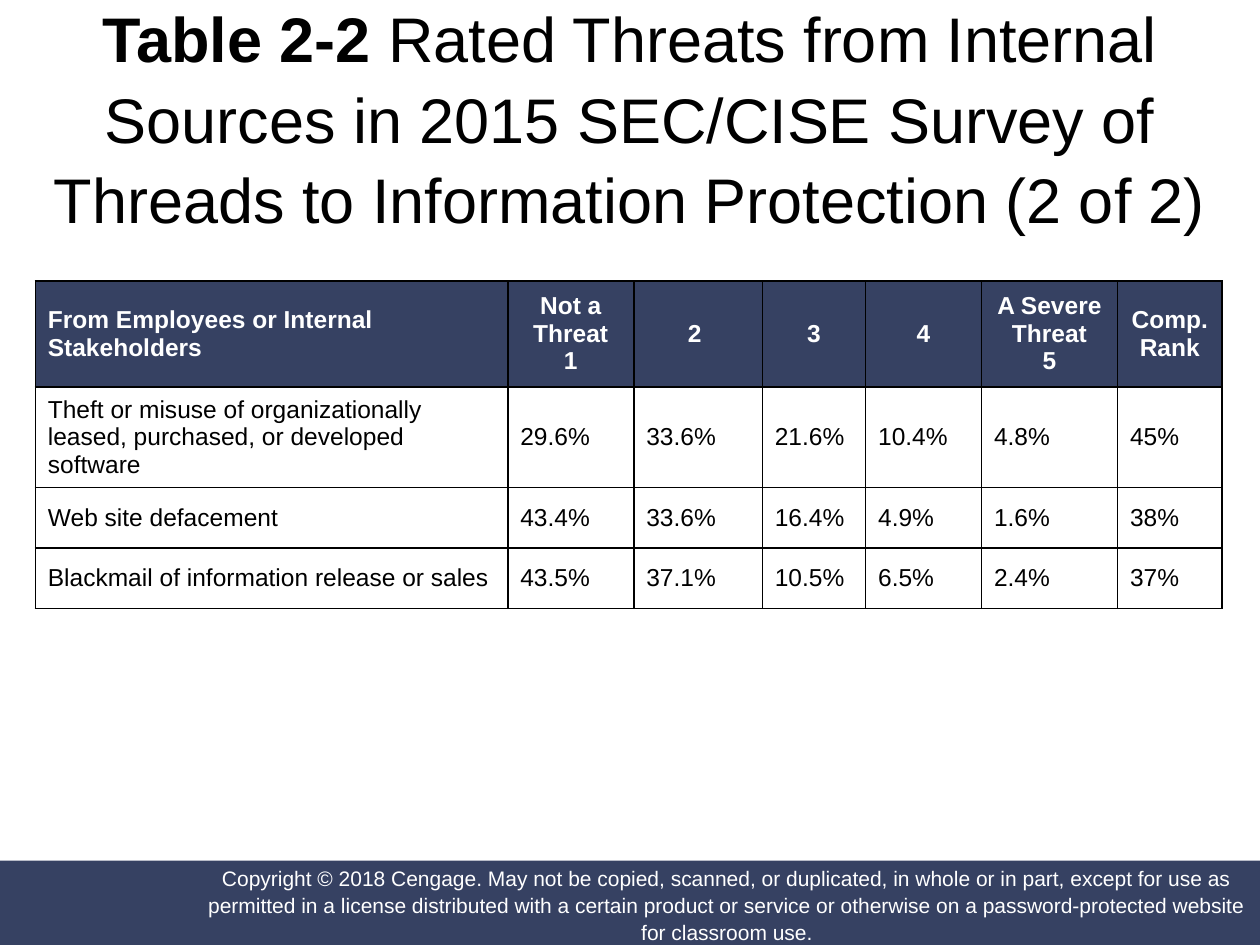
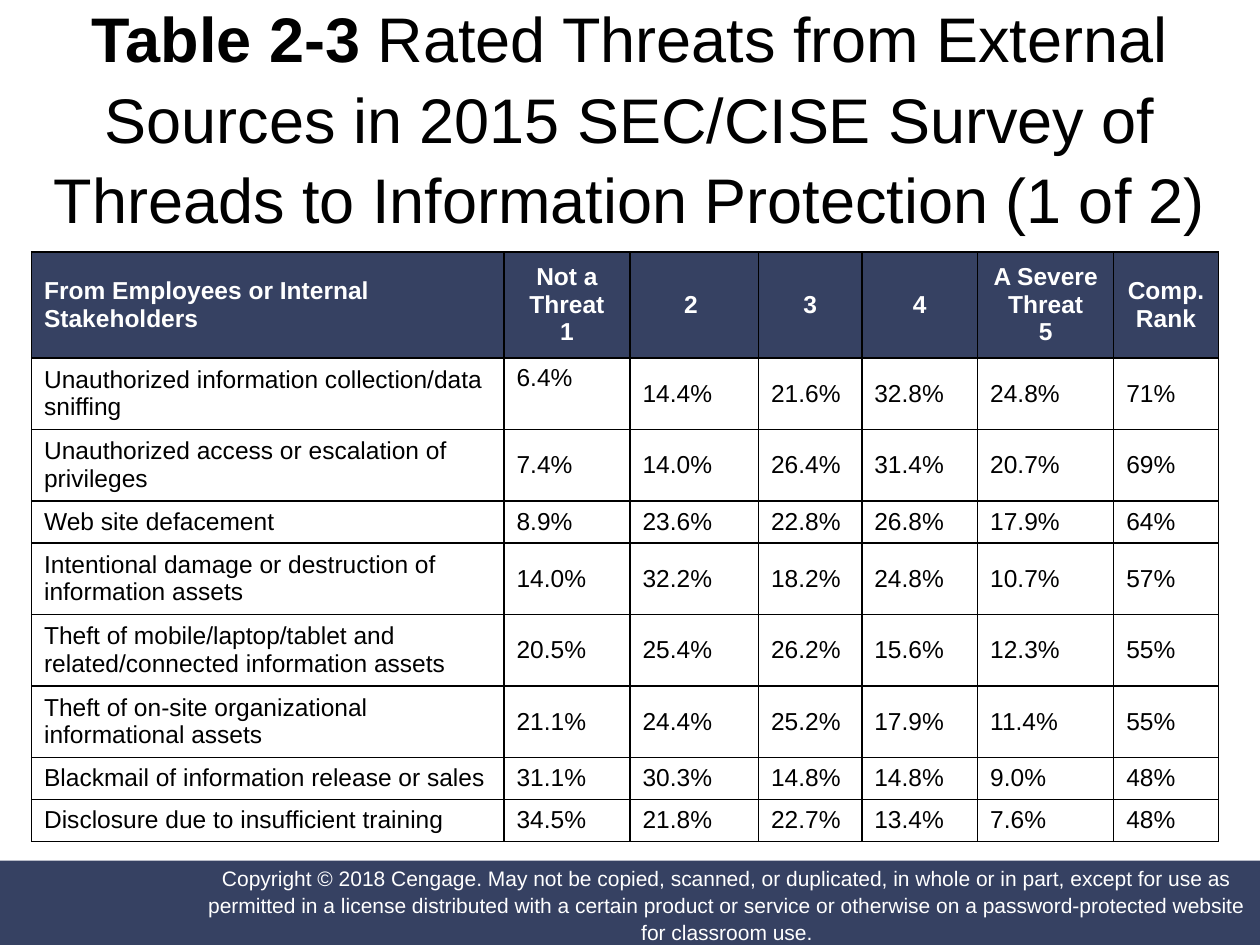
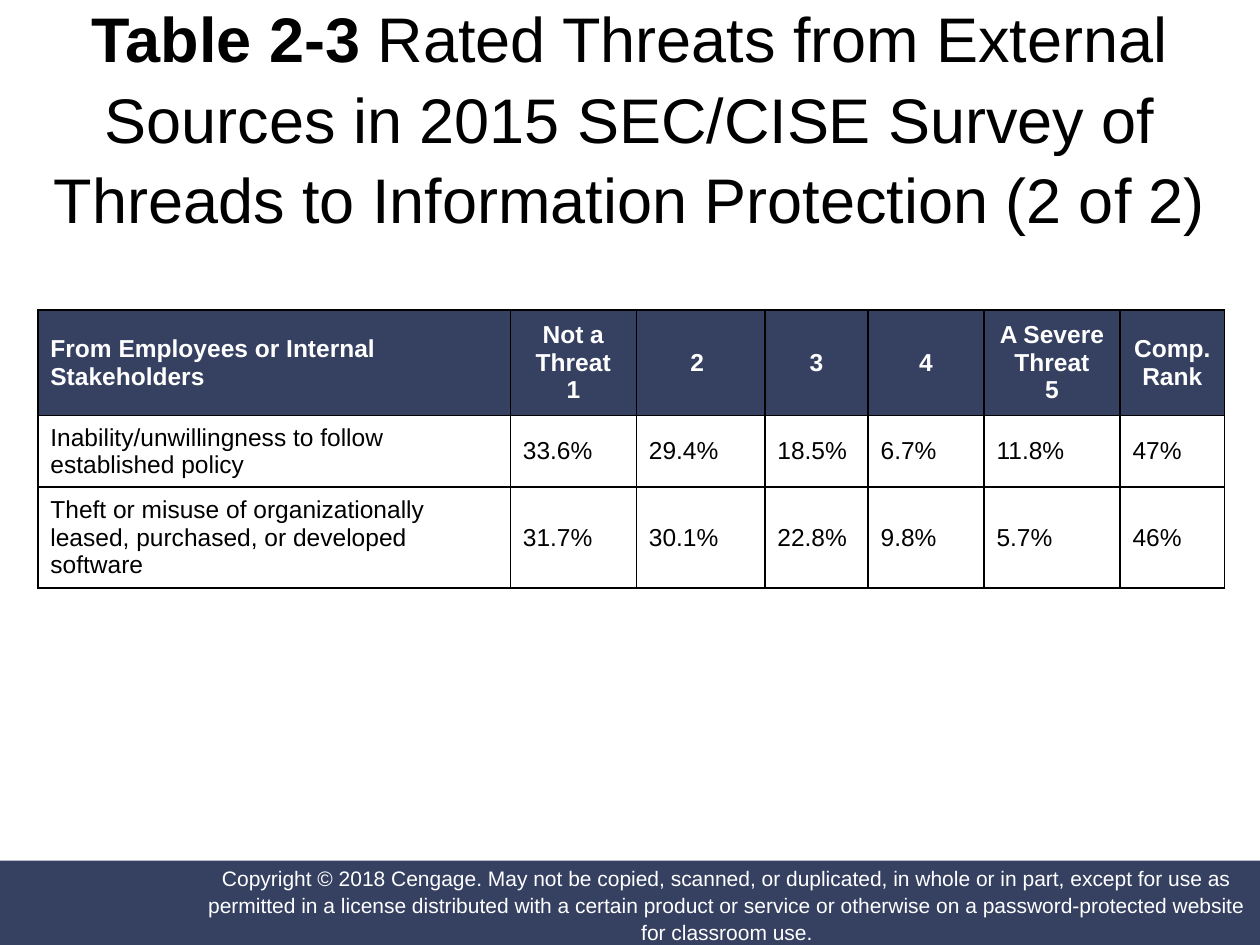
import pptx
import pptx.util
import pptx.dml.color
import pptx.enum.shapes
import pptx.enum.text
import pptx.oxml

Inches = pptx.util.Inches
Pt = pptx.util.Pt
PP_ALIGN = pptx.enum.text.PP_ALIGN
MSO_ANCHOR = pptx.enum.text.MSO_ANCHOR

NAVY = pptx.dml.color.RGBColor(0x36, 0x41, 0x62)
WHITE = pptx.dml.color.RGBColor(0xFF, 0xFF, 0xFF)
BLACK = pptx.dml.color.RGBColor(0x00, 0x00, 0x00)

COPYRIGHT = (
    "Copyright © 2018 Cengage. May not be copied, scanned, or duplicated, in whole "
    "or in part, except for use as permitted in a license distributed with a certain "
    "product or service or otherwise on a password-protected website for classroom use."
)
HEADER = ["From Employees or Internal Stakeholders", "Not a Threat\n1", "2 ", "3", "4",
          "A Severe Threat\n5", "Comp.\vRank"]
COLUMNS = [3.75, 1, 1.02, 0.82, 0.92, 1.08, 0.83]
HEADER_HEIGHT = 0.84
ONE_LINE, TWO_LINES, THREE_LINES = 0.32, 0.54, 0.75
TALL_LINE = 0.48

INTERNAL_2 = [
    (THREE_LINES, "Theft or misuse of organizationally leased, purchased, or developed software",
     "29.6% 33.6% 21.6% 10.4% 4.8% 45%"),
    (TALL_LINE, "Web site defacement", "43.4% 33.6% 16.4% 4.9% 1.6% 38%"),
    (TALL_LINE, "Blackmail of information release or sales", "43.5% 37.1% 10.5% 6.5% 2.4% 37%"),
]
EXTERNAL_1 = [
    (TWO_LINES, "Unauthorized information collection/data sniffing",
     "6.4% 14.4% 21.6% 32.8% 24.8% 71%"),
    (TWO_LINES, "Unauthorized access or escalation of privileges",
     "7.4% 14.0% 26.4% 31.4% 20.7% 69%"),
    (ONE_LINE, "Web site defacement", "8.9% 23.6% 22.8% 26.8% 17.9% 64%"),
    (TWO_LINES, "Intentional damage or destruction of information assets",
     "14.0% 32.2% 18.2% 24.8% 10.7% 57%"),
    (TWO_LINES, "Theft of mobile/laptop/tablet and related/connected information assets",
     "20.5% 25.4% 26.2% 15.6% 12.3% 55%"),
    (TWO_LINES, "Theft of on-site organizational informational assets",
     "21.1% 24.4% 25.2% 17.9% 11.4% 55%"),
    (ONE_LINE, "Blackmail of information release or sales",
     "31.1% 30.3% 14.8% 14.8% 9.0% 48%"),
    (ONE_LINE, "Disclosure due to insufficient training",
     "34.5% 21.8% 22.7% 13.4% 7.6% 48%"),
]
EXTERNAL_2 = [
    (TWO_LINES, "Inability/unwillingness to follow established policy",
     "33.6% 29.4% 18.5% 6.7% 11.8% 47%"),
    (THREE_LINES, "Theft or misuse of organizationally leased, purchased, or developed software",
     "31.7% 30.1% 22.8% 9.8% 5.7% 46%"),
]


def write(tf, text, size=14, color=BLACK, bold=False, align=PP_ALIGN.LEFT, spacing=None):
    """Fill a text frame with text in one format and return its last paragraph."""
    tf.word_wrap = True
    tf.text = text
    for p in tf.paragraphs:
        p.alignment = align
        p.line_spacing = spacing
        for r in p.runs:
            r.font.name = "Arial"
            r.font.size = Pt(size)
            r.font.bold = bold
            r.font.color.rgb = color
    return p


def border(cell, width=1):
    """Draw a black line on each side of a table cell."""
    tcPr = cell._tc.get_or_add_tcPr()
    for i, side in enumerate(("lnL", "lnR", "lnT", "lnB")):
        tcPr.insert(i, pptx.oxml.parse_xml(
            f'<a:{side} xmlns:a="http://schemas.openxmlformats.org/drawingml/2006/main" '
            f'w="{Pt(width)}"><a:solidFill><a:srgbClr val="{BLACK}"/></a:solidFill></a:{side}>'))


class Deck:
    """Hold the presentation, its shared style and the current slide."""

    def __init__(self):
        self.prs = pptx.Presentation()
        self.prs.slide_width, self.prs.slide_height = Inches(10), Inches(7.5)

    def slide(self):
        """Start a blank slide with the footer band."""
        self.s = self.prs.slides.add_slide(self.prs.slide_layouts[6])
        self.band(-0.01, 6.83, 10.01, 0.68)
        tf = self.band(1.62, 6.86, 8.3, 0.64).text_frame
        tf.margin_left = tf.margin_right = tf.margin_top = tf.margin_bottom = 0
        tf.vertical_anchor = MSO_ANCHOR.MIDDLE
        write(tf, COPYRIGHT, size=12, color=WHITE, align=PP_ALIGN.CENTER, spacing=1.07)

    def band(self, x, y, w, h):
        """Add a plain navy rectangle."""
        sp = self.s.shapes.add_shape(pptx.enum.shapes.MSO_SHAPE.RECTANGLE,
                                     Inches(x), Inches(y), Inches(w), Inches(h))
        sp.shadow.inherit = False
        sp.fill.solid()
        sp.fill.fore_color.rgb = NAVY
        sp.line.fill.background()
        return sp

    def title(self, number, text):
        """Add the title with a bold table number."""
        tf = self.s.shapes.add_textbox(Inches(0), Inches(0.08), Inches(10), Inches(1.67)).text_frame
        tf.vertical_anchor = MSO_ANCHOR.MIDDLE
        p = write(tf, f"{number} ", size=36, bold=True, align=PP_ALIGN.CENTER, spacing=1.07)
        r = p.add_run()
        r.text = text
        r.font.name, r.font.size, r.font.bold = "Arial", Pt(36), False
        r.font.color.rgb = BLACK

    def table(self, x, y, rows):
        """Add a survey table under the shared header row and return it."""
        heights = [HEADER_HEIGHT] + [height for height, _, _ in rows]
        cells = [HEADER] + [[threat, *values.split()] for _, threat, values in rows]
        table = self.s.shapes.add_table(len(cells), len(COLUMNS), Inches(x), Inches(y),
                                        Inches(sum(COLUMNS)), Inches(sum(heights))).table
        for column, width in zip(table.columns, COLUMNS):
            column.width = Inches(width)
        for i, (height, texts) in enumerate(zip(heights, cells)):
            table.rows[i].height = Inches(height)
            for j, text in enumerate(texts):
                self.cell(table.cell(i, j), text, header=i == 0, centred=i == 0 and j > 0)
        return table

    def cell(self, cell, text, header, centred):
        """Fill and format one table cell."""
        cell.vertical_anchor = MSO_ANCHOR.MIDDLE
        if header:
            cell.fill.solid()
            cell.fill.fore_color.rgb = NAVY
        else:
            cell.fill.background()
        write(cell.text_frame, text, color=WHITE if header else BLACK, bold=header,
              align=PP_ALIGN.CENTER if centred else PP_ALIGN.LEFT)
        border(cell)


def main():
    """Build the three survey slides."""
    deck = Deck()
    for number, source, part, x, y, rows in (
        ("Table 2-2", "Internal", 2, 0.28, 2.23, INTERNAL_2),
        ("Table 2-3", "External", 1, 0.25, 2, EXTERNAL_1),
        ("Table 2-3", "External", 2, 0.3, 2.46, EXTERNAL_2),
    ):
        deck.slide()
        deck.title(number, f"Rated Threats from {source} Sources in 2015 SEC/CISE Survey of "
                           f"Threads to Information Protection ({part} of 2)")
        table = deck.table(x, y, rows)
        if rows is EXTERNAL_1:
            table.cell(1, 1).vertical_anchor = MSO_ANCHOR.TOP
    deck.prs.save("out.pptx")


if __name__ == "__main__":
    main()
